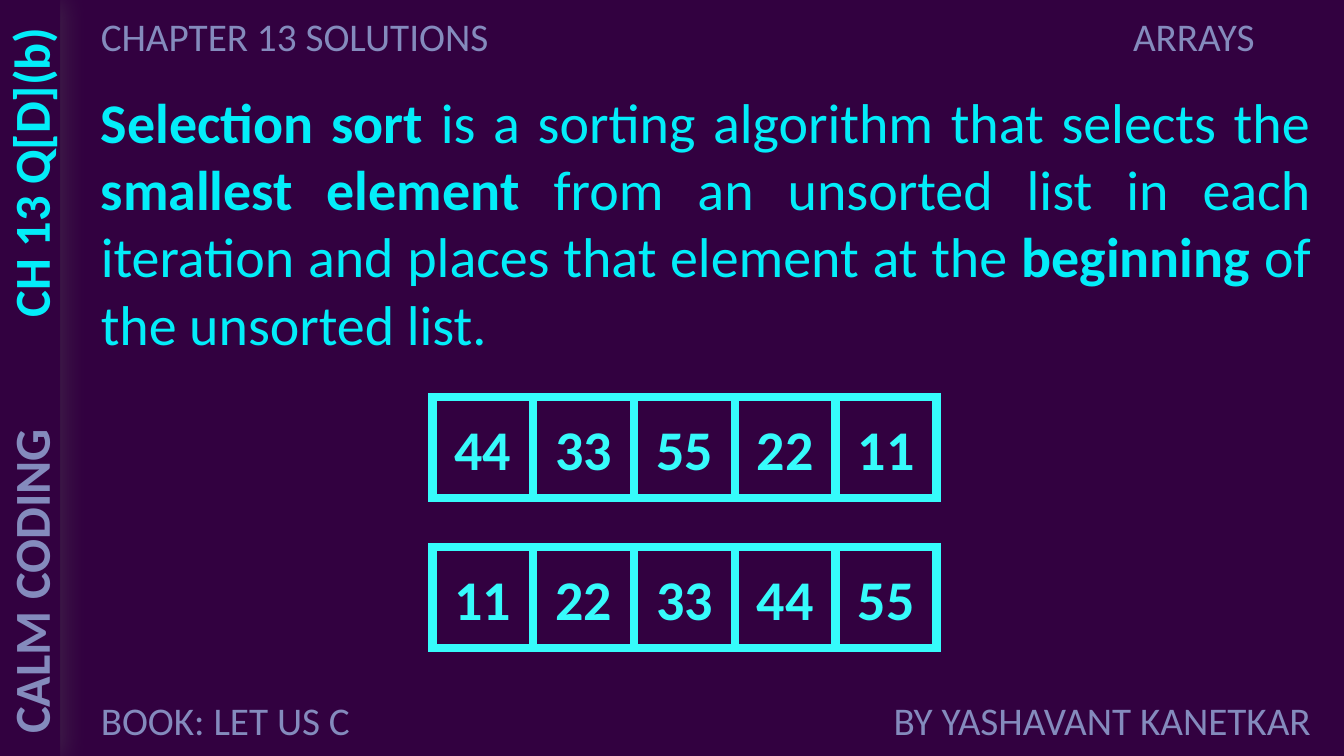
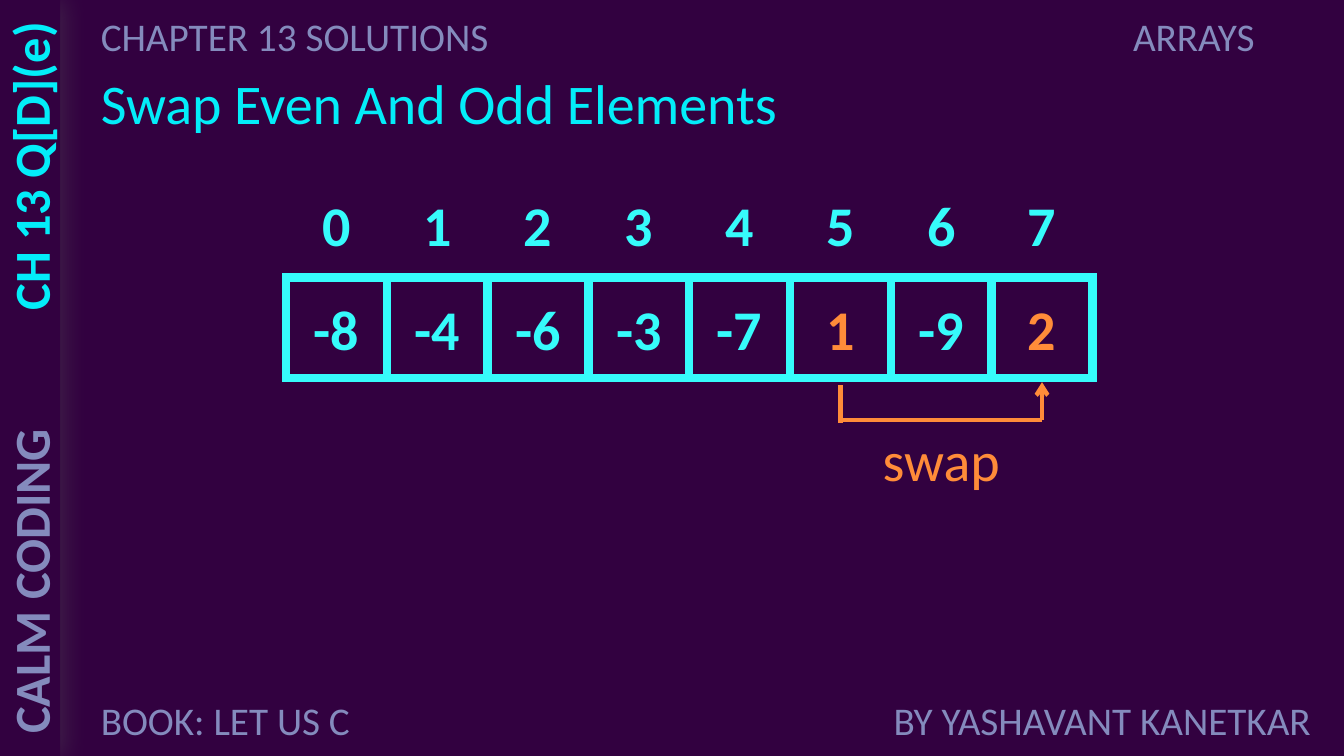
import pptx
import pptx.dml.color
import pptx.enum.shapes
import pptx.enum.text
import pptx.oxml
import pptx.oxml.ns
import pptx.util

Cm = pptx.util.Cm
Pt = pptx.util.Pt
ALIGN = pptx.enum.text.PP_ALIGN
ANCHOR = pptx.enum.text.MSO_ANCHOR
RECTANGLE = pptx.enum.shapes.MSO_SHAPE.RECTANGLE
STRAIGHT = pptx.enum.shapes.MSO_CONNECTOR.STRAIGHT

# Shared look
FONT = "Calibri"
BACKGROUND = "320140"
MUTED = "848BBD"
ACCENT = "03EDF9"
CELL_COLOUR = "36FBFB"
HIGHLIGHT = "FF8C39"

# Shared measures in centimetres
PAGE_WIDTH, PAGE_HEIGHT = 33.87, 19.05
SIDEBAR = 1.52
MARGIN = 2.29
TEXT_WIDTH = 30.99
CELL = 2.54
HEADER_TOP, FOOTER_TOP, BAND_HEIGHT = 0.18, 17.42, 1.45


def colour(value):
    return pptx.dml.color.RGBColor.from_string(value)


def append_xml(parent, markup):
    namespace = pptx.oxml.ns.nsdecls("a")
    parent.append(pptx.oxml.parse_xml(markup.replace("NS", namespace)))


def write(box, spans, size, tint, align=ALIGN.LEFT, bold=False, anchor=ANCHOR.TOP):
    """Fill a box with one paragraph; spans is a string or (text, bold) pairs."""
    frame = box.text_frame
    frame.word_wrap = True
    frame.vertical_anchor = anchor
    para = frame.paragraphs[0]
    para.alignment = align
    para.font.name = FONT
    para.font.size = Pt(size)
    para.font.color.rgb = colour(tint)
    if isinstance(spans, str):
        para.font.bold = bold
        spans = [(spans, None)]
    for text, strong in spans:
        span = para.add_run()
        span.text = text
        span.font.bold = strong


def add_text(page, left, top, width, height, spans, size, tint, **style):
    box = page.shapes.add_textbox(Cm(left), Cm(top), Cm(width), Cm(height))
    write(box, spans, size, tint, **style)
    return box


def add_side_text(page, middle, text, tint, align):
    """Text reading upwards, centred in the sidebar at the given height."""
    width, height = 8.6, 1.8
    box = add_text(page, SIDEBAR / 2 - width / 2, middle - height / 2, width, height,
                   text, 36, tint, align=align, bold=True)
    box.rotation = 270


def add_sidebar(page):
    bar = page.shapes.add_shape(RECTANGLE, 0, 0, Cm(SIDEBAR), Cm(PAGE_HEIGHT))
    bar.fill.solid()
    bar.fill.fore_color.rgb = colour(BACKGROUND)
    bar.line.fill.background()
    append_xml(bar._element.spPr, (
        f'<a:effectLst NS><a:outerShdw blurRad="{Pt(17)}" dist="{Pt(3)}" dir="0" '
        'algn="l" rotWithShape="0"><a:srgbClr val="595959"><a:alpha val="35000"/>'
        '</a:srgbClr></a:outerShdw></a:effectLst>'))


def add_page(deck, question, question_middle):
    """A blank page with the sidebar, header and footer."""
    page = deck.slides.add_slide(deck.slide_layouts[6])
    page.background.fill.solid()
    page.background.fill.fore_color.rgb = colour(BACKGROUND)
    add_sidebar(page)
    for left, top, width, text, align in (
            (MARGIN, HEADER_TOP, 10.62, "CHAPTER 13 SOLUTIONS", ALIGN.LEFT),
            (14.22, HEADER_TOP, 17.65, "ARRAYS", ALIGN.RIGHT),
            (MARGIN, FOOTER_TOP, 7.06, "BOOK: LET US C", ALIGN.LEFT),
            (21.18, FOOTER_TOP, 12.1, "BY YASHAVANT KANETKAR", ALIGN.RIGHT)):
        add_text(page, left, top, width, BAND_HEIGHT, text, 28, MUTED, align=align)
    add_side_text(page, 14.44, "CALM CODING", MUTED, ALIGN.LEFT)
    add_side_text(page, question_middle, question, ACCENT, ALIGN.RIGHT)
    return page


def add_array(page, left, top, values, highlighted=()):
    """A row of touching square cells."""
    for index, value in enumerate(values):
        cell = page.shapes.add_shape(RECTANGLE, Cm(left + index * CELL), Cm(top),
                                     Cm(CELL), Cm(CELL))
        cell.shadow.inherit = False
        cell.fill.background()
        cell.line.color.rgb = colour(CELL_COLOUR)
        cell.line.width = Pt(6)
        append_xml(cell.line._get_or_add_ln(), '<a:miter NS lim="800000"/>')
        tint = HIGHLIGHT if index in highlighted else CELL_COLOUR
        write(cell, str(value), 40, tint, align=ALIGN.CENTER, bold=True,
              anchor=ANCHOR.MIDDLE)


def add_indexes(page, left, top, count):
    for index in range(count):
        add_text(page, left + index * CELL, top, CELL, CELL, str(index), 40, CELL_COLOUR,
                 align=ALIGN.CENTER, bold=True, anchor=ANCHOR.MIDDLE)


def add_line(page, start, end, arrow=False):
    line = page.shapes.add_connector(STRAIGHT, *map(Cm, start + end))
    line.line.color.rgb = colour(HIGHLIGHT)
    line.line.width = Pt(3)
    if arrow:
        append_xml(line.line._get_or_add_ln(), '<a:tailEnd NS type="arrow"/>')
    append_xml(line._element.spPr, "<a:effectLst NS/>")


def add_swap(page, array_left, array_bottom, first, second):
    """A bracket below the array from one cell to another, with its label."""
    start, end = (array_left + (index + 0.5) * CELL for index in (first, second))
    base = array_bottom + 1.06
    add_line(page, (start, base), (end, base))
    add_line(page, (end, base), (end, array_bottom + 0.1), arrow=True)
    add_line(page, (start, array_bottom + 0.18), (start, base + 0.08))
    width = 3.9
    add_text(page, (start + end - width) / 2, base, width, 1.97, "swap", 40, HIGHLIGHT,
             align=ALIGN.CENTER)


def build_selection_sort(deck):
    page = add_page(deck, "CH 13 Q[D](b)", 4.74)
    add_text(page, MARGIN, 2.08, TEXT_WIDTH, 7.09, [
        ("Selection sort ", True),
        ("is a sorting algorithm that selects the ", False),
        ("smallest element", True),
        (" from an unsorted list in each iteration and places that element at the ", False),
        ("beginning", True),
        (" of the unsorted list.", False),
    ], 40, ACCENT, align=ALIGN.JUSTIFY)
    values = [44, 33, 55, 22, 11]
    add_array(page, 10.9, 10.01, values)
    add_array(page, 10.9, 13.79, sorted(values))


def build_swap(deck):
    page = add_page(deck, "CH 13 Q[D](e)", 4.61)
    add_text(page, MARGIN, 1.6, 17.75, 1.97, "Swap Even And Odd Elements", 40, ACCENT,
             align=ALIGN.JUSTIFY)
    values = [-8, -4, -6, -3, -7, 1, -9, 2]
    left, top = 7.21, 6.99
    first, second = 5, 7
    add_swap(page, left, top + CELL, first, second)
    add_array(page, left, top, values, highlighted=(first, second))
    add_indexes(page, left, 4.37, len(values))


def main():
    deck = pptx.Presentation()
    deck.slide_width, deck.slide_height = Cm(PAGE_WIDTH), Cm(PAGE_HEIGHT)
    build_selection_sort(deck)
    build_swap(deck)
    deck.save("out.pptx")


if __name__ == "__main__":
    main()
